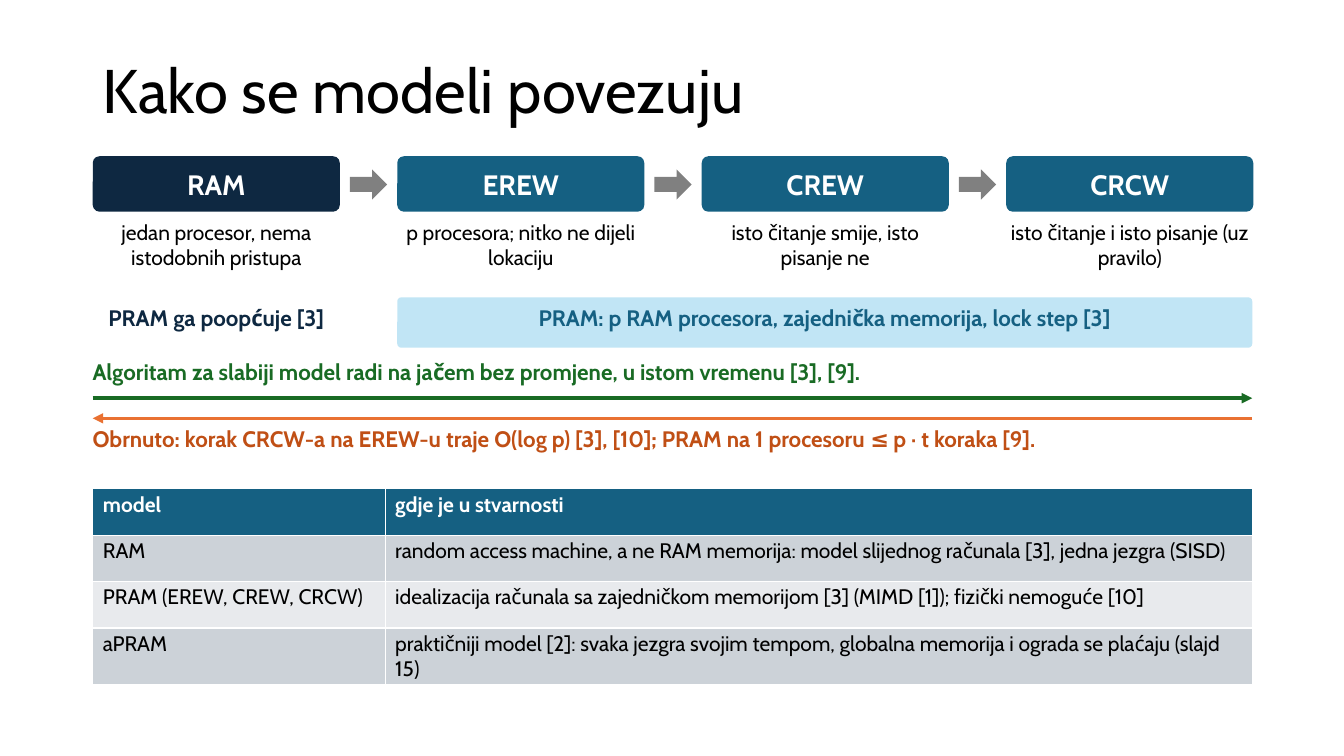
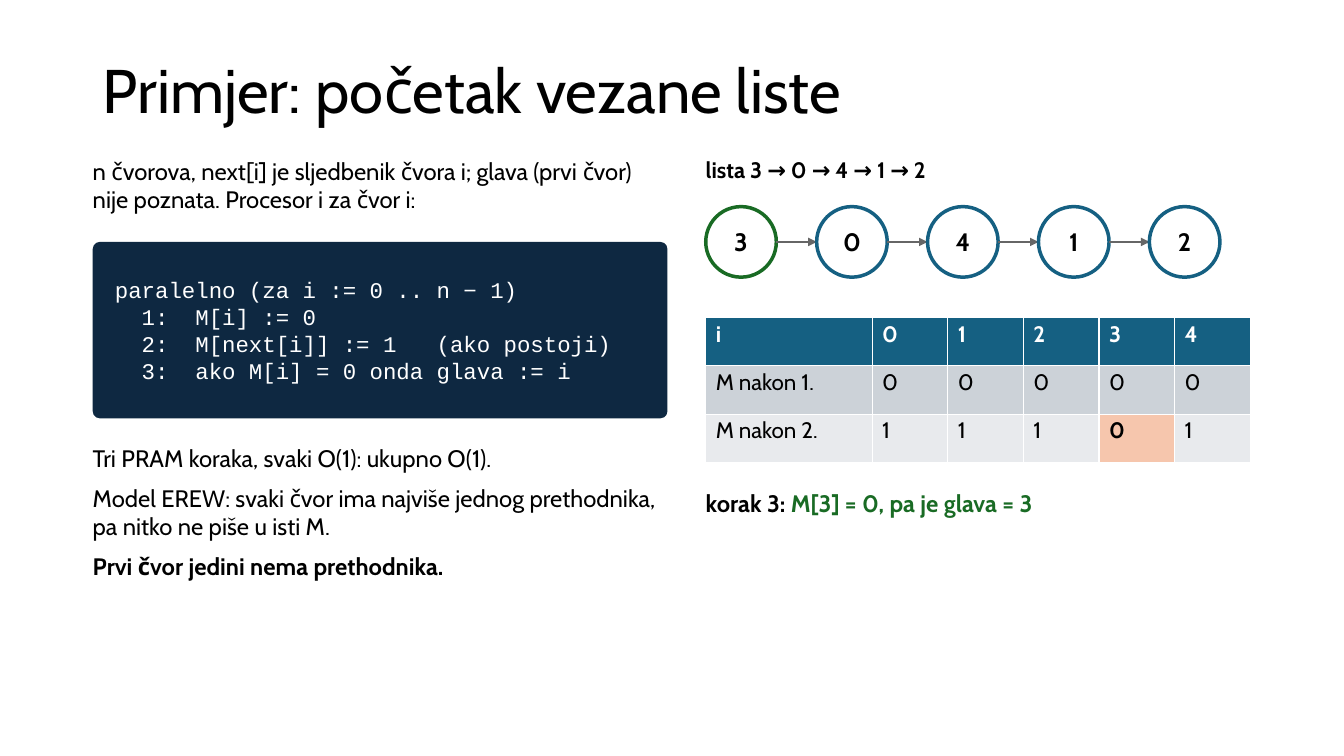
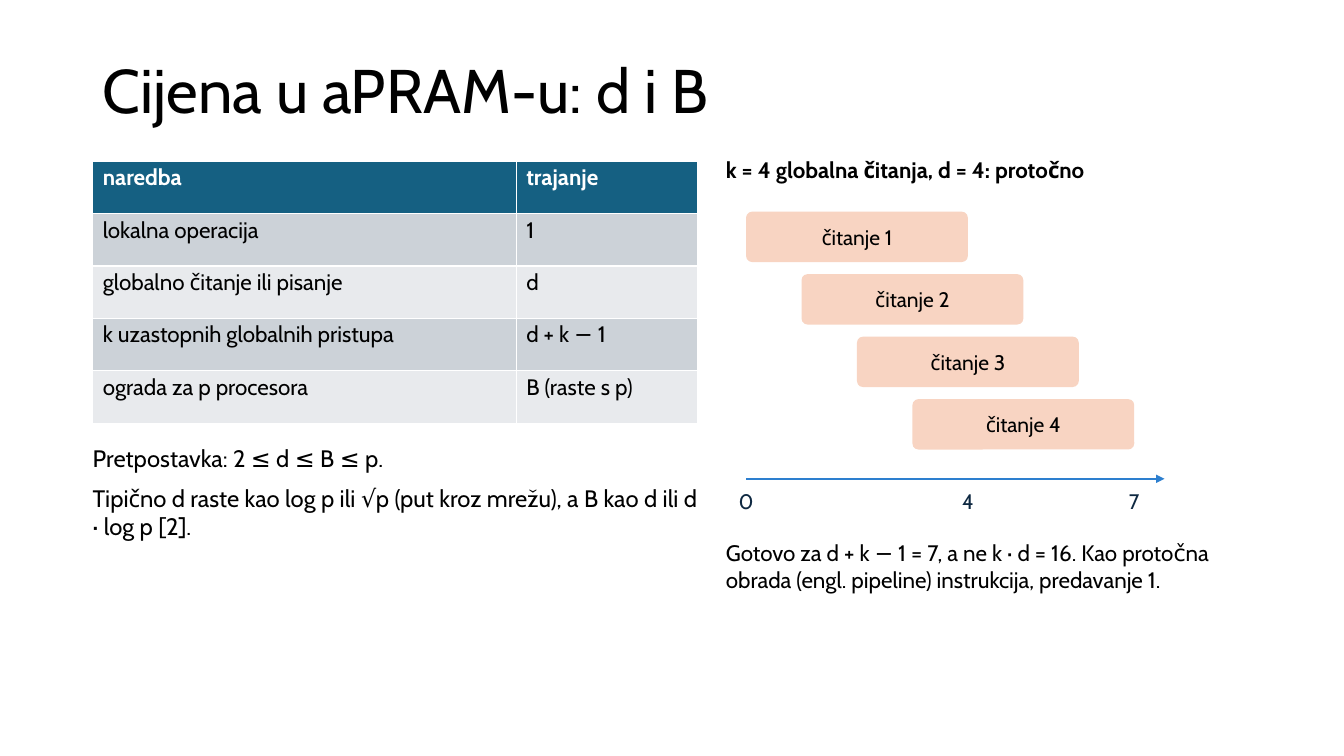
from lxml import etree
from pptx import Presentation, util as u
from pptx.dml.color import RGBColor
from pptx.enum import shapes as kinds, text as tx
from pptx.oxml.ns import qn

# Shared look
PX = 9144  # 100 px to the inch
LEFT, RIGHT, TOP = 92, 1242, 155
FONT, CODE_FONT = "Cabin", "Courier New"
BLACK, WHITE, GRAY, WIRE = "000000", "FFFFFF", "808080", "666666"
NAVY, TEAL, SKY, BLUE = "0E2841", "156082", "C1E5F5", "2D7FCF"
GREEN, ORANGE, RUST = "196B24", "E97132", "C04F15"
PEACH, MARK = "F8D4C2", "F6C6AD"
BANDS = ["CCD2D8", "E8EAED"]
CENTER, MIDDLE = tx.PP_ALIGN.CENTER, tx.MSO_ANCHOR.MIDDLE
SHAPE = kinds.MSO_SHAPE

# Slide 1 content
MODELS = [
    ("RAM", "jedan procesor, nema istodobnih pristupa", NAVY),
    ("EREW", "p procesora; nitko ne dijeli lokaciju", TEAL),
    ("CREW", "isto čitanje smije, isto pisanje ne", TEAL),
    ("CRCW", "isto čitanje i isto pisanje (uz pravilo)", TEAL),
]
RAM_NOTE = "PRAM ga poopćuje [3]"
PRAM_NOTE = "PRAM: p RAM procesora, zajednička memorija, lock step [3]"
FORWARD = "Algoritam za slabiji model radi na jačem bez promjene, u istom vremenu [3], [9]."
BACKWARD = ("Obrnuto: korak CRCW-a na EREW-u traje O(log p) [3], [10]; "
            "PRAM na 1 procesoru ≤ p · t koraka [9].")
REALITY = [
    ("model", "gdje je u stvarnosti"),
    ("RAM", "random access machine, a ne RAM memorija: model slijednog računala [3], "
            "jedna jezgra (SISD)"),
    ("PRAM (EREW, CREW, CRCW)", "idealizacija računala sa zajedničkom memorijom [3] "
                                "(MIMD [1]); fizički nemoguće [10]"),
    ("aPRAM", "praktičniji model [2]: svaka jezgra svojim tempom, globalna memorija "
              "i ograda se plaćaju (slajd 15)"),
]

# Slide 2 content
LIST_INTRO = ("n čvorova, next[i] je sljedbenik čvora i; glava (prvi čvor) nije poznata. "
              "Procesor i za čvor i:")
CODE = [
    "paralelno (za i := 0 .. n − 1)",
    "  1:  M[i] := 0",
    "  2:  M[next[i]] := 1   (ako postoji)",
    "  3:  ako M[i] = 0 onda glava := i",
]
LIST_COST = [
    "Tri PRAM koraka, svaki O(1): ukupno O(1).",
    "Model EREW: svaki čvor ima najviše jednog prethodnika, pa nitko ne piše u isti M.",
    "Prvi čvor jedini nema prethodnika.",
]
NODES = [3, 0, 4, 1, 2]
MEMORY = [("i", "0", "1", "2", "3", "4"),
          ("M nakon 1.", "0", "0", "0", "0", "0"),
          ("M nakon 2.", "1", "1", "1", "0", "1")]
HEAD_CELL = (2, 4)
RESULT = ("korak 3: ", "M[3] = 0, pa je glava = 3")

# Slide 3 content
PRICES = [("naredba", "trajanje"),
          ("lokalna operacija", "1"),
          ("globalno čitanje ili pisanje", "d"),
          ("k uzastopnih globalnih pristupa", "d + k − 1"),
          ("ograda za p procesora", "B (raste s p)")]
ASSUMPTION = [
    "Pretpostavka: 2 ≤ d ≤ B ≤ p.",
    "Tipično d raste kao log p ili √p (put kroz mrežu), a B kao d ili d · log p [2].",
]
PIPE_HEAD = "k = 4 globalna čitanja, d = 4: protočno"
READS, DELAY = 4, 4
PIPE_NOTE = ("Gotovo za d + k − 1 = 7, a ne k · d = 16. Kao protočna obrada "
             "(engl. pipeline) instrukcija, predavanje 1.")


def color(hex_code):
    return RGBColor.from_string(hex_code)


def px(*lengths):
    return [u.Emu(n * PX) for n in lengths]


def style(paragraph, size, ink=BLACK, bold=False, font=FONT):
    paragraph.font.size = u.Pt(size)
    paragraph.font.name = font
    paragraph.font.bold = bold
    paragraph.font.color.rgb = color(ink)


def write(frame, lines, size, ink=BLACK, bold=False, font=FONT, align=None,
          anchor=tx.MSO_ANCHOR.TOP, insets=(0, 0, 0, 0), after=None):
    """Fill a text frame with one paragraph per line."""
    frame.word_wrap = True
    frame.vertical_anchor = anchor
    (frame.margin_left, frame.margin_top,
     frame.margin_right, frame.margin_bottom) = px(*insets)
    for n, line in enumerate([lines] if isinstance(lines, str) else lines):
        paragraph = frame.paragraphs[0] if n == 0 else frame.add_paragraph()
        paragraph.text = line
        paragraph.alignment = align
        if after:
            paragraph.space_after = u.Pt(after)
        style(paragraph, size, ink, bold, font)
    return frame.paragraphs


def label(slide, box, lines, size, **look):
    return write(slide.shapes.add_textbox(*px(*box)).text_frame, lines, size, **look)


def block(slide, kind, box, fill, round_by=None, edge=None):
    shape = slide.shapes.add_shape(kind, *px(*box))
    shape.shadow.inherit = False
    shape.fill.solid()
    shape.fill.fore_color.rgb = color(fill)
    if edge:
        shape.line.color.rgb = color(edge)
        shape.line.width = u.Pt(2.5)
    else:
        shape.line.fill.background()
    if round_by:
        shape.adjustments[0] = round_by
    return shape.text_frame


def arrow(slide, start, end, y, ink, width):
    line = slide.shapes.add_connector(kinds.MSO_CONNECTOR.STRAIGHT, *px(start, y, end, y))
    line.line.color.rgb = color(ink)
    line.line.width = u.Pt(width)
    etree.SubElement(line.line._get_or_add_ln(), qn("a:tailEnd"), type="triangle")
    etree.SubElement(line._element.spPr, qn("a:effectLst"))


def grid(slide, left, top, columns, row_height, rows, size, marked=None):
    table = slide.shapes.add_table(len(rows), len(columns), *px(
        left, top, sum(columns), row_height * len(rows))).table
    for column, width in zip(table.columns, px(*columns)):
        column.width = width
    for r, row in enumerate(rows):
        table.rows[r].height = u.Emu(row_height * PX)
        for c, value in enumerate(row):
            cell = table.cell(r, c)
            cell.margin_left, cell.margin_top, cell.margin_right, cell.margin_bottom = px(
                10, 3, 10, 3)
            is_marked = (r, c) == marked
            cell.fill.solid()
            cell.fill.fore_color.rgb = color(
                MARK if is_marked else BANDS[(r - 1) % 2] if r else TEAL)
            cell.text = value
            style(cell.text_frame.paragraphs[0], size, BLACK if r else WHITE,
                  bold=r == 0 or is_marked)


def titled_slide(deck, title):
    slide = deck.slides.add_slide(deck.slide_layouts[6])
    heading = label(slide, (LEFT, 40, RIGHT - LEFT, 106), title, 44,
                    anchor=MIDDLE, insets=(10, 5, 10, 5))
    heading[0].line_spacing = 0.9
    return slide


def models_slide(deck):
    slide = titled_slide(deck, "Kako se modeli povezuju")
    # Chain of models
    width, step = 245, 302
    for n, (name, meaning, fill) in enumerate(MODELS):
        x = LEFT + n * step
        if n:
            block(slide, SHAPE.RIGHT_ARROW, (x - 47, 168, 37, 30), GRAY)
        write(block(slide, SHAPE.ROUNDED_RECTANGLE, (x, TOP, width, 55), fill, 0.12),
              name, 20, ink=WHITE, bold=True, align=CENTER, anchor=MIDDLE,
              insets=(5, 2, 5, 2))
        label(slide, (x, 218, width, 70), meaning, 15, align=CENTER)
    # What PRAM covers
    pram = LEFT + step
    block(slide, SHAPE.ROUNDED_RECTANGLE, (pram, 295, RIGHT - pram, 50), SKY, 0.08)
    for x, end, note, ink in [(pram, RIGHT, PRAM_NOTE, TEAL),
                              (LEFT, LEFT + width, RAM_NOTE, NAVY)]:
        label(slide, (x, 302, end - x, 40), note, 16, ink=ink, bold=True, align=CENTER)
    # Both directions
    for start, end, y, line_ink, text_y, claim, ink in [
            (LEFT, RIGHT, 395, GREEN, 355, FORWARD, GREEN),
            (RIGHT, LEFT, 415, ORANGE, 422, BACKWARD, RUST)]:
        arrow(slide, start, end, y, line_ink, 2.5)
        label(slide, (LEFT, text_y, RIGHT - LEFT, 40), claim, 16, ink=ink, bold=True)
    grid(slide, LEFT, 485, [290, 860], 46, REALITY, 15)


def list_slide(deck):
    slide = titled_slide(deck, "Primjer: početak vezane liste")
    # Algorithm
    width = 570
    label(slide, (LEFT, TOP, width, 80), LIST_INTRO, 17)
    write(block(slide, SHAPE.ROUNDED_RECTANGLE, (LEFT, 240, width, 175), NAVY, 0.04),
          CODE, 16, ink=WHITE, font=CODE_FONT, align=tx.PP_ALIGN.LEFT, anchor=MIDDLE,
          insets=(20, 5, 10, 5))
    cost = label(slide, (LEFT, 440, width, 220), LIST_COST, 17, after=8)
    cost[-1].font.bold = True
    # Linked list
    right, size, step, y = 700, 70, 110, 205
    label(slide, (right, TOP, 540, 40), "lista " + " → ".join(map(str, NODES)), 16, bold=True)
    for n, node in enumerate(NODES):
        x = right + n * step
        if n:
            arrow(slide, x - step + size, x, y + size // 2, WIRE, 2)
        write(block(slide, SHAPE.OVAL, (x, y, size, size), WHITE, edge=TEAL if n else GREEN),
              str(node), 18, bold=True, align=CENTER, anchor=MIDDLE, insets=(0, 5, 0, 5))
    # Memory after each step
    grid(slide, right, 315, [165] + [75] * 5, 48, MEMORY, 16, HEAD_CELL)
    step_name, finding = RESULT
    result = label(slide, (right, 485, 540, 90), step_name, 17, bold=True)[0]
    found = result.add_run()
    found.text = finding
    found.font.color.rgb = color(GREEN)


def price_slide(deck):
    slide = titled_slide(deck, "Cijena u aPRAM-u: d i B")
    # Prices
    grid(slide, LEFT, 160, [420, 180], 52, PRICES, 16)
    label(slide, (LEFT, 440, 600, 220), ASSUMPTION, 17, after=8)
    # Pipelined reads on a time axis
    right, origin, tick = 720, 740, 55
    label(slide, (right, TOP, 520, 40), PIPE_HEAD, 16, bold=True)
    for n in range(READS):
        write(block(slide, SHAPE.ROUNDED_RECTANGLE,
                    (origin + n * tick, 210 + n * 62, DELAY * tick, 50), PEACH, 0.12),
              f"čitanje {n + 1}", 15, align=CENTER, anchor=MIDDLE, insets=(5, 2, 5, 2))
    arrow(slide, origin, 1155, 475, BLUE, 1.5)
    for time in (0, DELAY, DELAY + READS - 1):
        label(slide, (origin + time * tick - 30, 485, 60, 40), str(time), 15,
              ink=NAVY, align=CENTER)
    label(slide, (right, 535, 520, 130), PIPE_NOTE, 16)


def main():
    deck = Presentation()
    deck.slide_width, deck.slide_height = px(1333, 750)
    models_slide(deck)
    list_slide(deck)
    price_slide(deck)
    deck.save("out.pptx")


if __name__ == "__main__":
    main()
